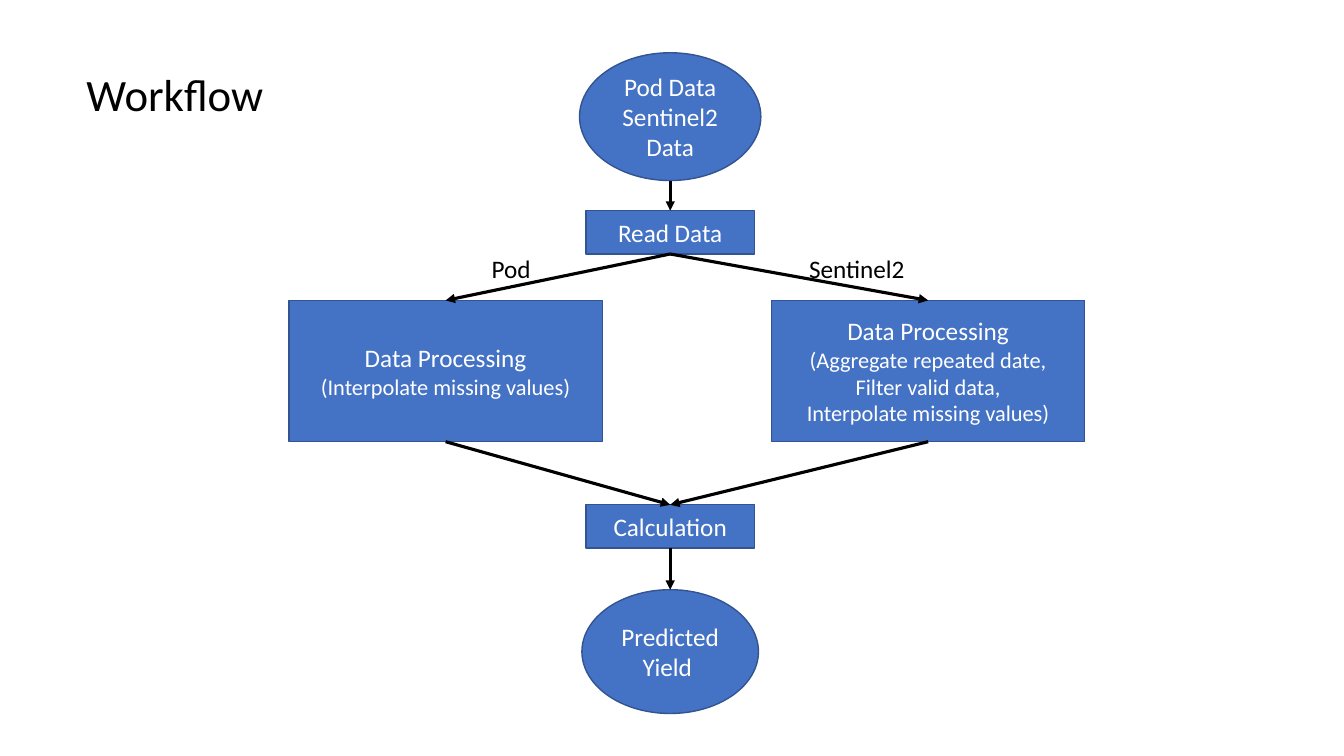
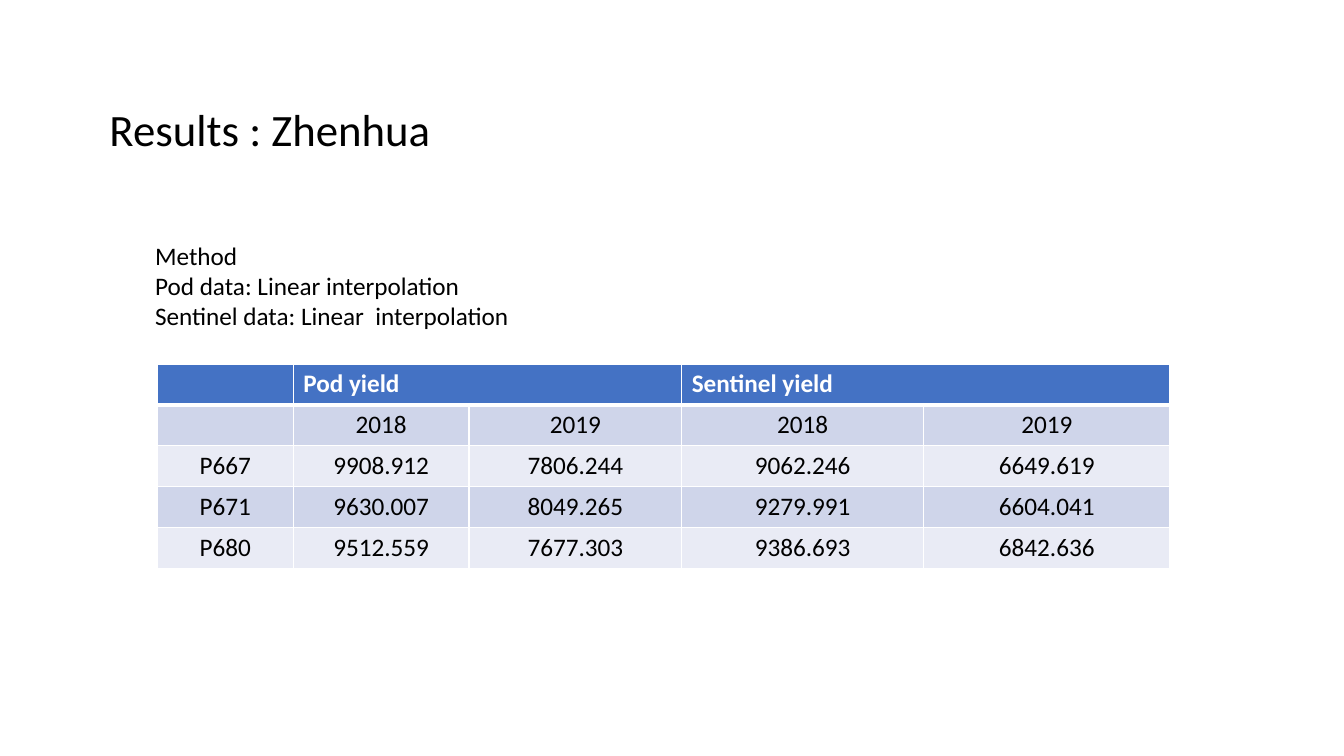
from dataclasses import dataclass
from typing import Optional

from lxml.etree import SubElement
from pptx import Presentation
from pptx.dml.color import RGBColor
from pptx.enum.shapes import MSO_CONNECTOR, MSO_SHAPE
from pptx.enum.text import MSO_ANCHOR, PP_ALIGN
from pptx.oxml.ns import qn
from pptx.slide import Slide
from pptx.table import _Cell
from pptx.text.text import TextFrame
from pptx.util import Cm, Pt

# Shared style
FONT = "Calibri"
BLUE, DARK_BLUE = "4472C4", "325491"
BAND_DARK, BAND_LIGHT = "CFD5EA", "E9EBF5"
BLACK, WHITE = "000000", "FFFFFF"
TITLE_SIZE, BODY_SIZE, DETAIL_SIZE = 32, 18, 16


@dataclass(frozen=True)
class Node:
    """A flowchart box, placed by its centre line and top edge, in cm."""
    lines: tuple[str, ...]
    center: float
    top: float
    width: float
    height: float
    kind: MSO_SHAPE = MSO_SHAPE.RECTANGLE
    detail_size: int = BODY_SIZE

    @property
    def bottom(self) -> float:
        return self.top + self.height


def color(hex_value: str) -> RGBColor:
    return RGBColor.from_string(hex_value)


def write(frame: TextFrame, *lines: str, size: int = BODY_SIZE,
          detail_size: Optional[int] = None, hex_color: str = BLACK,
          bold: bool = False, align: PP_ALIGN = PP_ALIGN.LEFT) -> None:
    """Write one paragraph per line; lines after the first may differ in size."""
    for index, line in enumerate(lines):
        paragraph = frame.add_paragraph() if index else frame.paragraphs[0]
        paragraph.alignment = align
        run = paragraph.add_run()
        run.text = line
        run.font.name = FONT
        run.font.size = Pt(detail_size if index and detail_size else size)
        run.font.bold = bold
        run.font.color.rgb = color(hex_color)


def add_text(slide: Slide, left: float, top: float, width: float, height: float,
             *lines: str, size: int = BODY_SIZE) -> None:
    box = slide.shapes.add_textbox(Cm(left), Cm(top), Cm(width), Cm(height))
    box.text_frame.word_wrap = True
    write(box.text_frame, *lines, size=size)


def add_title(slide: Slide, left: float, top: float, width: float, title: str) -> None:
    add_text(slide, left, top, width, 1.62, title, size=TITLE_SIZE)


def add_node(slide: Slide, node: Node) -> None:
    shape = slide.shapes.add_shape(node.kind, Cm(node.center - node.width / 2),
                                   Cm(node.top), Cm(node.width), Cm(node.height))
    shape.shadow.inherit = False
    shape.fill.solid()
    shape.fill.fore_color.rgb = color(BLUE)
    shape.line.color.rgb = color(DARK_BLUE)
    shape.line.width = Pt(1)
    shape.text_frame.word_wrap = True
    shape.text_frame.vertical_anchor = MSO_ANCHOR.MIDDLE
    write(shape.text_frame, *node.lines, detail_size=node.detail_size,
          hex_color=WHITE, align=PP_ALIGN.CENTER)


def add_arrow(slide: Slide, source: Node, target: Node) -> None:
    """Draw an arrow from the bottom of one node to the top of another."""
    arrow = slide.shapes.add_connector(
        MSO_CONNECTOR.STRAIGHT, Cm(source.center), Cm(source.bottom),
        Cm(target.center), Cm(target.top))
    arrow.line.color.rgb = color(BLACK)
    arrow.line.width = Pt(2.25)
    SubElement(arrow.line._get_or_add_ln(), qn("a:tailEnd"), type="triangle")
    SubElement(arrow._element.spPr, qn("a:effectLst"))


def style_cell(cell: _Cell, fill: str, bottom_width: float = 1) -> None:
    properties = cell._tc.get_or_add_tcPr()
    for side in ("L", "R", "T", "B"):
        width = Pt(bottom_width if side == "B" else 1)
        border = SubElement(properties, qn(f"a:ln{side}"), w=str(width))
        border_fill = SubElement(border, qn("a:solidFill"))
        SubElement(border_fill, qn("a:srgbClr"), val=WHITE)
    cell.fill.solid()
    cell.fill.fore_color.rgb = color(fill)


def build_workflow(slide: Slide) -> None:
    axis, left_branch, right_branch = 16.89, 11.23, 23.39
    step = {"width": 4.24, "height": 1.09}
    branch = {"top": 7.57, "width": 7.9, "height": 3.56, "detail_size": DETAIL_SIZE}

    # Boxes
    source = Node(("Pod Data", "Sentinel2 Data"), axis, 1.33, 4.57, 3.22, MSO_SHAPE.OVAL)
    reading = Node(("Read Data",), axis, 5.31, **step)
    pod = Node(("Data Processing", "(Interpolate missing values)"), left_branch, **branch)
    sentinel = Node(("Data Processing", "(Aggregate repeated date,", "Filter valid data,",
                     "Interpolate missing values)"), right_branch, **branch)
    calculation = Node(("Calculation",), axis, 12.72, **step)
    result = Node(("Predicted Yield ",), axis, 14.86, 4.45, 3.12, MSO_SHAPE.OVAL)
    for node in (source, reading, pod, sentinel, calculation, result):
        add_node(slide, node)

    # Arrows
    for start, end in ((source, reading), (reading, pod), (reading, sentinel),
                       (pod, calculation), (sentinel, calculation), (calculation, result)):
        add_arrow(slide, start, end)

    # Branch labels and title
    add_text(slide, 12.14, 6.25, 2.44, 1.02, "Pod")
    add_text(slide, 20.14, 6.25, 3.35, 1.02, "Sentinel2")
    add_title(slide, 1.93, 1.55, 7.62, "Workflow")


def build_results(slide: Slide) -> None:
    add_title(slide, 2.51, 2.44, 11.43, "Results : Zhenhua")
    add_text(slide, 3.66, 5.92, 13.84, 2.57, "Method",
             "Pod data: Linear interpolation", "Sentinel data: Linear  interpolation")

    # Yield table
    rows = (
        ("", "Pod yield", "", "Sentinel yield", ""),
        ("", "2018", "2019", "2018", "2019"),
        ("P667", "9908.912", "7806.244", "9062.246", "6649.619"),
        ("P671", "9630.007", "8049.265", "9279.991", "6604.041"),
        ("P680", "9512.559", "7677.303", "9386.693", "6842.636"),
    )
    widths = (3.42, 4.43, 5.36, 6.1, 6.2)
    row_height = 1.03
    table = slide.shapes.add_table(
        len(rows), len(widths), Cm(3.97), Cm(9.17),
        Cm(sum(widths)), Cm(row_height * len(rows))).table
    table.first_row = table.horz_banding = False
    for column, width in zip(table.columns, widths):
        column.width = Cm(width)
    for row_index, values in enumerate(rows):
        header = row_index == 0
        table.rows[row_index].height = Cm(row_height)
        fill = BLUE if header else BAND_DARK if row_index % 2 else BAND_LIGHT
        for column_index, value in enumerate(values):
            cell = table.cell(row_index, column_index)
            style_cell(cell, fill, bottom_width=3 if header else 1)
            if value:
                write(cell.text_frame, value, bold=header,
                      hex_color=WHITE if header else BLACK,
                      align=PP_ALIGN.LEFT if header else PP_ALIGN.CENTER)
    for first in (1, 3):
        table.cell(0, first).merge(table.cell(0, first + 1))


def main() -> None:
    presentation = Presentation()
    presentation.slide_width, presentation.slide_height = Cm(33.87), Cm(19.05)
    blank = presentation.slide_layouts[6]
    for build in (build_workflow, build_results):
        build(presentation.slides.add_slide(blank))
    presentation.save("out.pptx")


if __name__ == "__main__":
    main()
